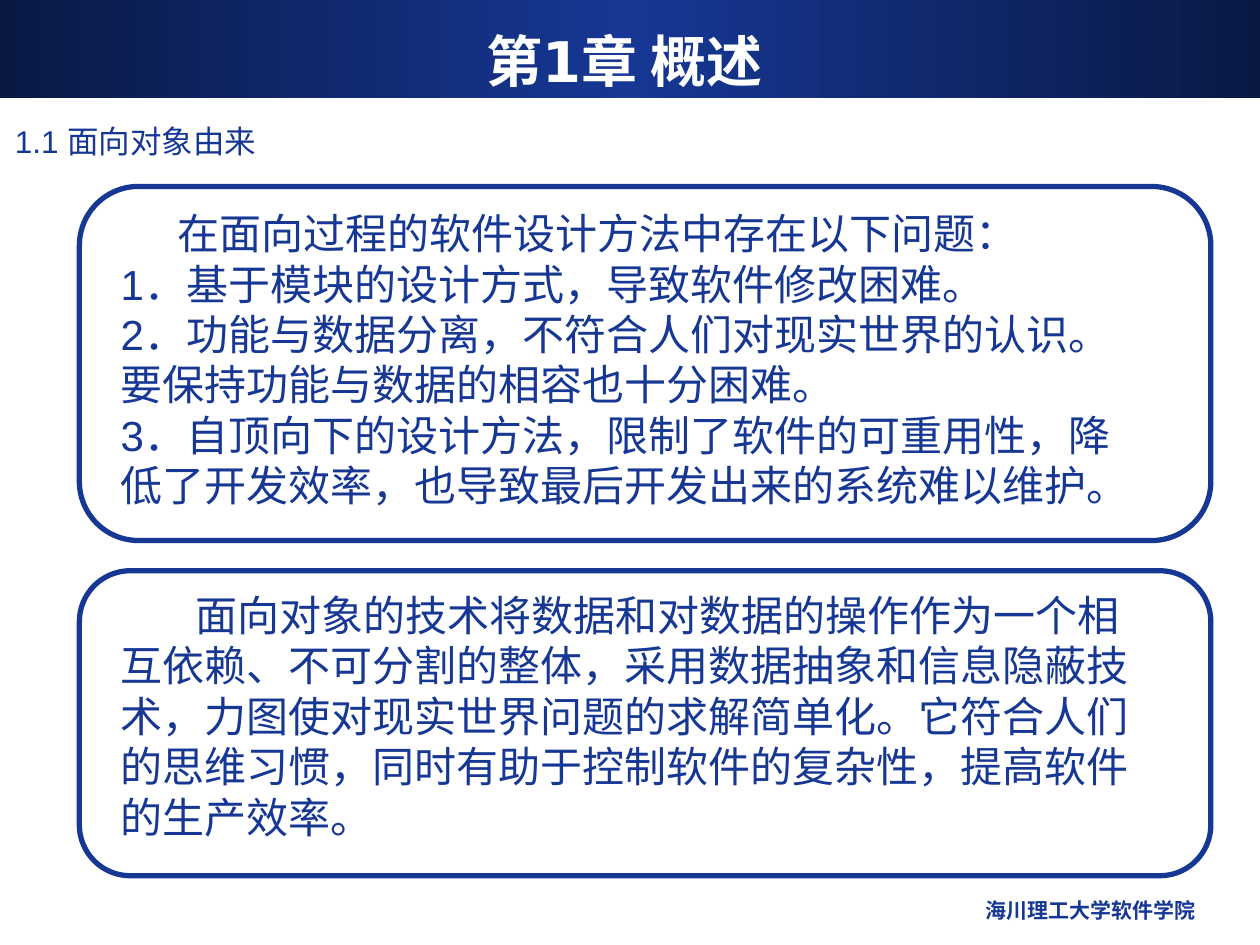
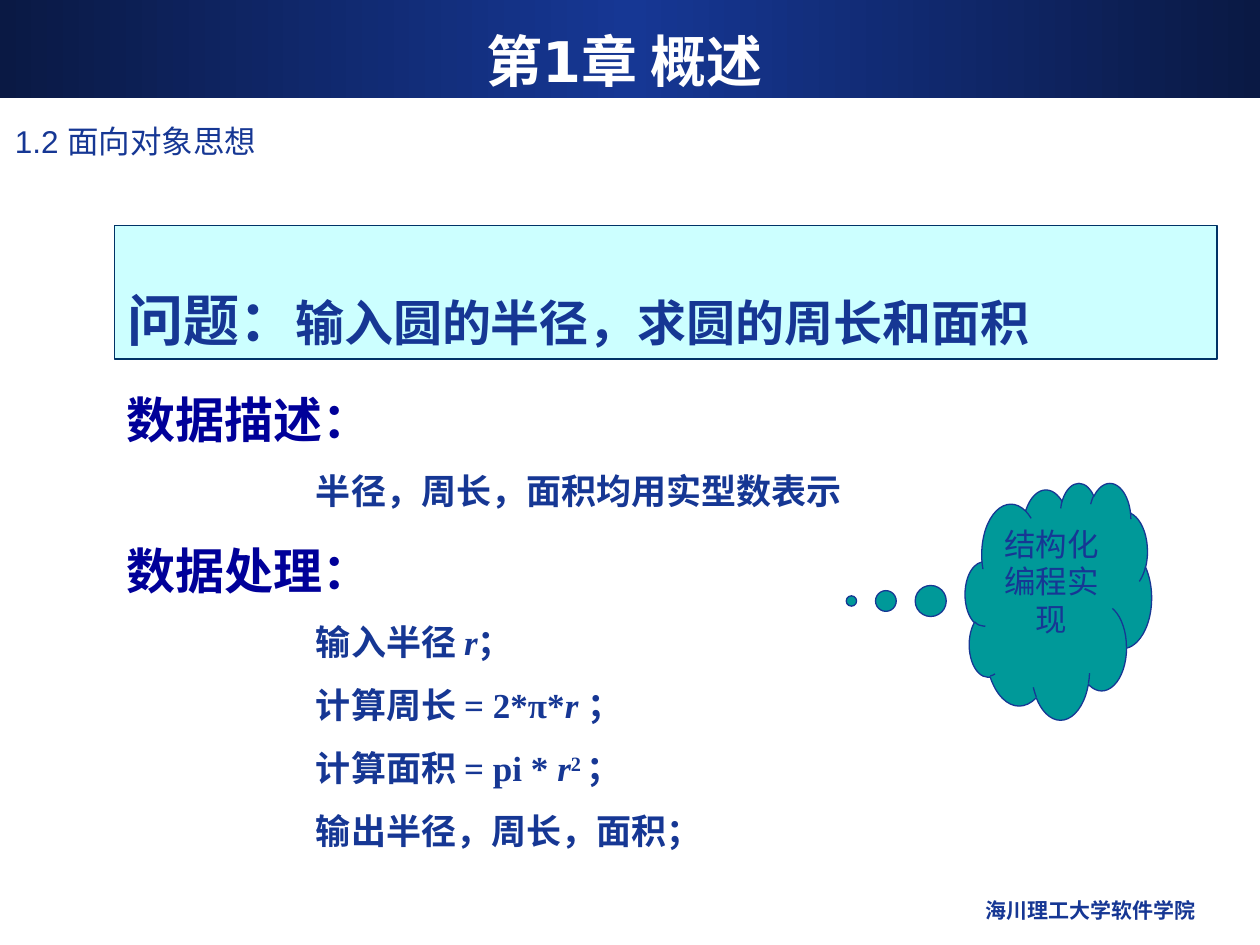
from copy import deepcopy
from dataclasses import dataclass

from pptx import Presentation
from pptx.dml.color import RGBColor
from pptx.enum.lang import MSO_LANGUAGE_ID
from pptx.enum.shapes import MSO_SHAPE
from pptx.enum.text import MSO_ANCHOR, MSO_AUTO_SIZE, PP_ALIGN
from pptx.oxml.ns import qn
from pptx.util import Inches, Pt


@dataclass(frozen=True)
class Theme:
    blue: str = "163794"
    band_edge: str = "0A1944"
    white: str = "FFFFFF"
    heading: str = "000099"
    problem_fill: str = "CCFFFF"
    problem_line: str = "003366"
    cloud_fill: str = "009999"
    title_font: str = "DejaVu Sans"
    body_font: str = "Arial"
    serif_font: str = "Times New Roman"
    title_size: int = 32
    heading_size: int = 28
    body_size: int = 24
    step_size: int = 20
    label_size: int = 18
    footer_size: int = 12


theme = Theme()


def write(shape, paragraphs, size, font, color=theme.blue, bold=False,
          align=PP_ALIGN.LEFT, anchor=MSO_ANCHOR.TOP):
    """Fill a shape with paragraphs, each a list of (text, changes to the style)."""
    frame = shape.text_frame
    frame.word_wrap = True
    frame.vertical_anchor = anchor
    for number, runs in enumerate(paragraphs):
        paragraph = frame.add_paragraph() if number else frame.paragraphs[0]
        paragraph.alignment = align
        for text, changes in runs:
            run = paragraph.add_run()
            run.text = text
            run.font.name = font
            run.font.size = Pt(changes.get("size", size))
            run.font.bold = bold
            run.font.italic = changes.get("italic", False)
            run.font.color.rgb = RGBColor.from_string(changes.get("color", color))
            run.font.language_id = MSO_LANGUAGE_ID.SIMPLIFIED_CHINESE
            if changes.get("superscript"):
                run._r.get_or_add_rPr().set("baseline", "30000")
    return frame


def add_outlined(slide, preset, box, fill, line, width):
    """Add a preset shape without shadow; fill may be None."""
    shape = slide.shapes.add_shape(preset, *map(Inches, box))
    shape.shadow.inherit = False
    if fill:
        shape.fill.solid()
        shape.fill.fore_color.rgb = RGBColor.from_string(fill)
    else:
        shape.fill.background()
    shape.line.color.rgb = RGBColor.from_string(line)
    shape.line.width = Pt(width)
    return shape


presentation = Presentation()
presentation.slide_width = Inches(10)
presentation.slide_height = Inches(7.5)
layout = presentation.slide_layouts[5]

# Title, section label and footer of every slide
slides = []
for section in ("1.1 面向对象由来", "1.2 面向对象思想"):
    slide = presentation.slides.add_slide(layout)
    title = slide.shapes.title
    title.left, title.top, title.width, title.height = map(Inches, (0.33, 0.17, 9.25, 0.62))
    write(title, [[("第1章 概述", {})]], theme.title_size, theme.title_font, theme.white,
          bold=True, align=PP_ALIGN.CENTER, anchor=MSO_ANCHOR.MIDDLE)
    title.text_frame.auto_size = MSO_AUTO_SIZE.NONE
    footer = slide.shapes.add_textbox(*map(Inches, (6.42, 7.07, 3.17, 0.35)))
    write(footer, [[("海川理工大学软件学院", {})]], theme.footer_size, theme.title_font,
          bold=True, align=PP_ALIGN.RIGHT)
    label = slide.shapes.add_textbox(*map(Inches, (0.02, 0.92, 9.25, 0.41)))
    write(label, [[(section, {})]], theme.label_size, theme.body_font)
    slides.append(slide)
origins_slide, ideas_slide = slides

# Gradient band, moved into the layout so that both slides share it
band = origins_slide.shapes.add_shape(MSO_SHAPE.RECTANGLE, 0, 0, Inches(10), Inches(0.78))
band.shadow.inherit = False
band.line.fill.background()
band.fill.gradient()
band.fill.gradient_angle = 0
stop_list = band.element.spPr.find(".//" + qn("a:gsLst"))
stop_list.append(deepcopy(stop_list[0]))
band_colors = (theme.band_edge, theme.blue, theme.band_edge)
for number, (stop, color) in enumerate(zip(band.fill.gradient_stops, band_colors)):
    stop.position = number / 2
    stop.color.rgb = RGBColor.from_string(color)
layout.shapes.element.insert(2, band.element)

# Slide 1: two rounded panels, each with its text and first-line indent
panels = [
    (1.48, 2.81, 1.6, 2.5, 0.45, [
        "在面向过程的软件设计方法中存在以下问题：",
        "1．基于模块的设计方式，导致软件修改困难。",
        "2．功能与数据分离，不符合人们对现实世界的认识。要保持功能与数据的相容也十分困难。",
        "3．自顶向下的设计方法，限制了软件的可重用性，降低了开发效率，"
        "也导致最后开发出来的系统难以维护。",
    ]),
    (4.53, 2.42, 4.63, 2.1, 0.59, [
        "面向对象的技术将数据和对数据的操作作为一个相互依赖、不可分割的整体，"
        "采用数据抽象和信息隐蔽技术，力图使对现实世界问题的求解简单化。"
        "它符合人们的思维习惯，同时有助于控制软件的复杂性，提高软件的生产效率。",
    ]),
]
for top, height, text_top, text_height, indent, texts in panels:
    add_outlined(origins_slide, MSO_SHAPE.ROUNDED_RECTANGLE, (0.63, top, 8.98, height),
                 None, theme.blue, 3)
    panel_text = origins_slide.shapes.add_textbox(
        *map(Inches, (0.86, text_top, 8.36, text_height)))
    frame = write(panel_text, [[(text, {})] for text in texts],
                  theme.body_size, theme.body_font)
    frame.paragraphs[0]._p.get_or_add_pPr().set("indent", str(Inches(indent)))

# Slide 2: problem, its data and steps, and the remark in the cloud
problem = add_outlined(ideas_slide, MSO_SHAPE.RECTANGLE, (0.91, 1.79, 8.75, 1.06),
                       theme.problem_fill, theme.problem_line, 0.75)
frame = write(problem, [[("问题：", {"size": theme.title_size}),
                         ("输入圆的半径，求圆的周长和面积", {})]],
              theme.heading_size, theme.serif_font, bold=True)
frame.paragraphs[0].line_spacing = 1.8

heading = {"size": theme.heading_size, "color": theme.heading}
variable = {"italic": True}
outline = [
    [("数据描述：", heading)],
    [("半径，周长，面积均用实型数表示", {})],
    [("数据处理：", heading)],
    [("输入半径 ", {}), ("r", variable), ("；", {})],
    [("计算周长 = 2*π*", {}), ("r ", variable), ("；", {})],
    [("计算面积 = pi * ", {}), ("r", variable), ("2 ", {"superscript": True}), ("；", {})],
    [("输出半径，周长，面积；", {})],
]
solution = ideas_slide.shapes.add_textbox(*map(Inches, (0.91, 2.81, 8.17, 4)))
frame = write(solution, outline, theme.step_size, theme.serif_font,
              bold=True, align=PP_ALIGN.JUSTIFY)
for paragraph, runs in zip(frame.paragraphs, outline):
    paragraph.line_spacing = 1.5
    if runs[0][1] is not heading:
        paragraph._p.get_or_add_pPr().set("marL", str(Inches(1.5)))

cloud = add_outlined(ideas_slide, MSO_SHAPE.CLOUD_CALLOUT, (7.66, 3.83, 1.48, 1.88),
                     theme.cloud_fill, theme.blue, 0.75)
cloud.adjustments[0] = -1.11
cloud.adjustments[1] = 0
write(cloud, [[("结构化编程实现", {})]], theme.label_size, theme.serif_font,
      align=PP_ALIGN.CENTER)

presentation.save("out.pptx")
